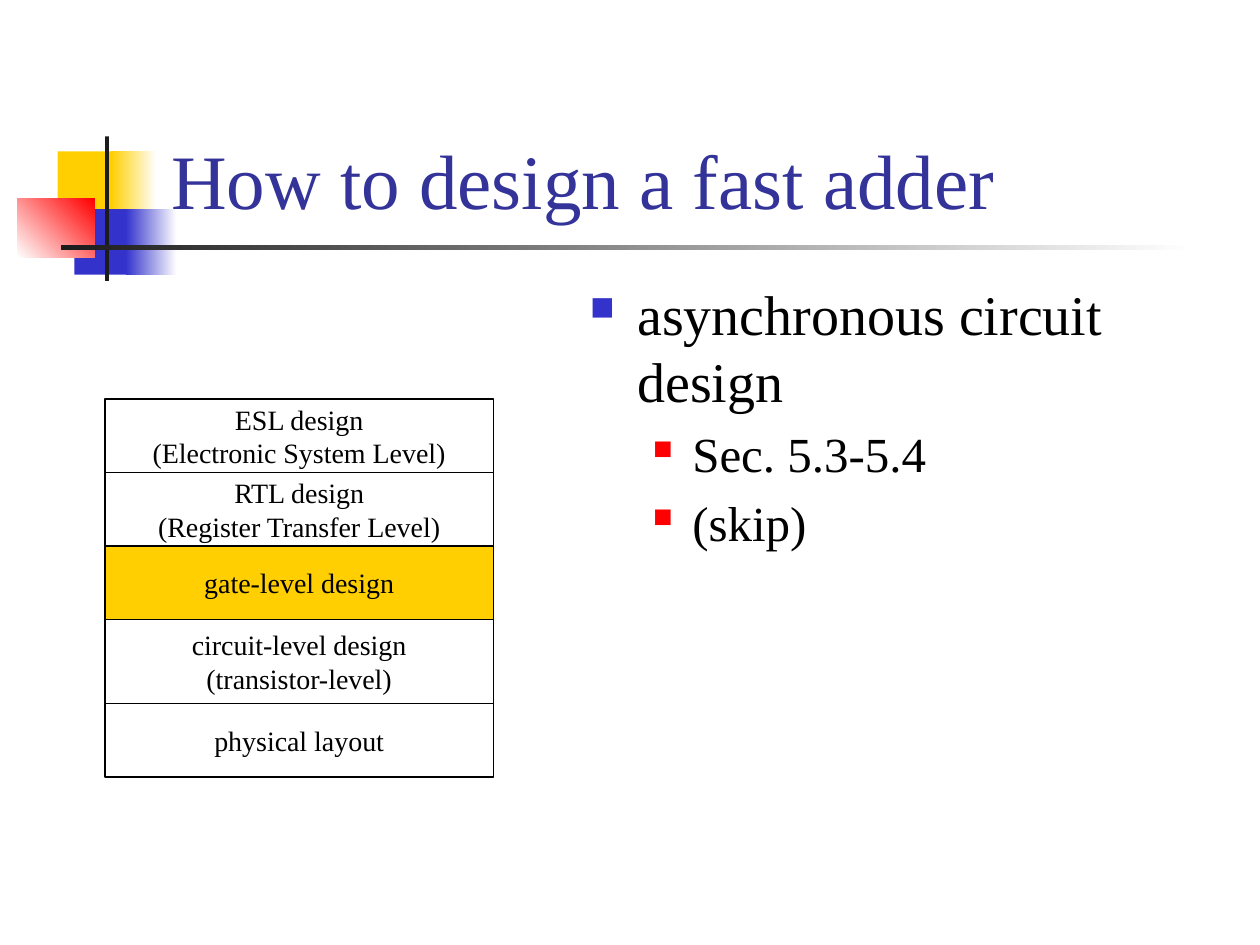
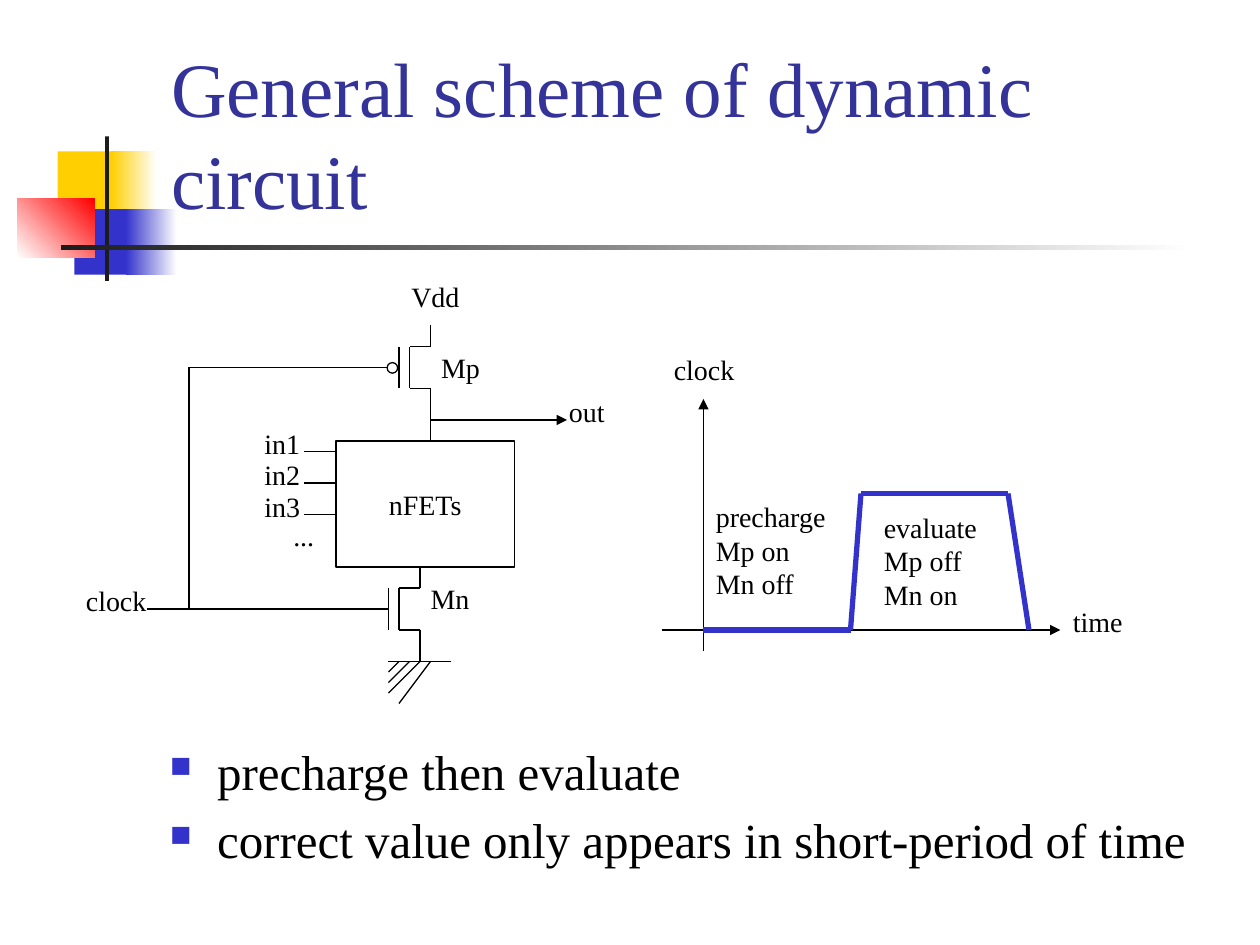
from dataclasses import dataclass
from itertools import pairwise

from lxml.etree import SubElement
from pptx import Presentation
from pptx.dml.color import RGBColor
from pptx.enum.shapes import MSO_CONNECTOR, MSO_SHAPE
from pptx.enum.text import MSO_ANCHOR, MSO_AUTO_SIZE, PP_ALIGN
from pptx.oxml.ns import qn
from pptx.util import Pt


@dataclass(frozen=True)
class Theme:
    """Colours, font and type sizes of the deck."""
    font: str = "Times New Roman"
    ink: str = "000000"
    paper: str = "FFFFFF"
    rule: str = "1C1C1C"
    gold: str = "FFCF01"
    blue: str = "3333CC"
    red: str = "FF0000"
    head: str = "333399"
    title: int = 44
    large: int = 32
    body: int = 28
    label: int = 16
    thin: float = 0.75
    bold: float = 3


def rgb(code):
    """Turn a hex code into a colour."""
    return RGBColor.from_string(code)


def bullet(para, color, size):
    """Give a paragraph a square bullet, its size in percent."""
    props = para._p.get_or_add_pPr()
    tint = SubElement(props, qn("a:buClr"))
    SubElement(tint, qn("a:srgbClr")).set("val", color)
    SubElement(props, qn("a:buSzPct")).set("val", str(size * 1000))
    SubElement(props, qn("a:buChar")).set("char", "■")


def write(frame, lines, font, size, color, align=PP_ALIGN.LEFT,
          anchor=MSO_ANCHOR.TOP, wrap=False, grow=False):
    """Fill a text frame, one paragraph per line; return the paragraphs."""
    frame.word_wrap = wrap
    frame.vertical_anchor = anchor
    frame.auto_size = MSO_AUTO_SIZE.SHAPE_TO_FIT_TEXT if grow else MSO_AUTO_SIZE.NONE
    frame.text = lines
    for para in frame.paragraphs:
        para.alignment = align
        for run in para.runs:
            run.font.name = font
            run.font.size = Pt(size)
            run.font.color.rgb = rgb(color)
    return frame.paragraphs


class Deck:
    """The presentation, its theme and the slide being drawn."""

    def __init__(self, theme):
        """Start an empty 10 by 7.5 inch deck."""
        self.theme = theme
        self.file = Presentation()
        self.file.slide_width = Pt(720)
        self.file.slide_height = Pt(540)

    def slide(self, title):
        """Add a slide with the shared ornament and a title."""
        page = self.file.slides.add_slide(self.file.slide_layouts[6])
        self.page = self.art = page.shapes
        self.badge()
        look = self.theme
        self.text(title, 90.75, 16.5, 613.5, 115.5, size=look.title,
                  color=look.head, anchor=MSO_ANCHOR.BOTTOM, wrap=True, grow=False)

    def group(self):
        """Send the next elements into a new group."""
        self.art = self.page.add_group_shape().shapes

    def shape(self, x, y, w, h, fill=None, line=None, fade=None, angle=0,
              kind=MSO_SHAPE.RECTANGLE):
        """Add a shape, filled plainly, with a fade or not at all."""
        item = self.art.add_shape(kind, Pt(x), Pt(y), Pt(w), Pt(h))
        item.shadow.inherit = False
        if fade:
            item.fill.gradient()
            item.fill.gradient_angle = angle
            for stop, code in zip(item.fill.gradient_stops, (fill, fade)):
                stop.color.rgb = rgb(code)
        elif fill:
            item.fill.solid()
            item.fill.fore_color.rgb = rgb(fill)
        else:
            item.fill.background()
        if line:
            item.line.color.rgb = rgb(line)
            item.line.width = Pt(self.theme.thin)
        else:
            item.line.fill.background()
        return item

    def badge(self):
        """Draw the coloured squares and the crossed rules."""
        look = self.theme
        self.shape(33, 86.5, 34.5, 37.5, look.gold)
        self.shape(63.5, 86.5, 26, 37.5, look.gold, fade=look.paper)
        self.shape(42.5, 119.5, 33, 37.5, look.blue)
        self.shape(72, 119.5, 29, 37.5, look.blue, fade=look.paper)
        self.shape(10, 113.5, 44, 33.5, look.paper, fade=look.red, angle=45)
        self.shape(60, 78, 2.25, 82.5, look.rule)
        self.shape(35, 140.25, 648, 2.5, look.rule, fade=look.paper)

    def text(self, lines, x, y, w=40, h=26.6, size=None, color=None,
             grow=True, **form):
        """Add a text box; a plain label unless told otherwise."""
        look = self.theme
        box = self.art.add_textbox(Pt(x), Pt(y), Pt(w), Pt(h))
        return write(box.text_frame, lines, look.font, size or look.label,
                     color or look.ink, grow=grow, **form)

    def points(self, items, x, y, w, h):
        """Add a bullet list of (level, size, text) items."""
        look = self.theme
        styles = ((27, -27, look.blue, 60), (58.5, -22.5, look.red, 55))
        lines = "\n".join(words for _, _, words in items)
        paras = self.text(lines, x, y, w, h, wrap=True, grow=False)
        for para, (level, size, _) in zip(paras, items):
            left, hang, color, scale = styles[level]
            para.level = level
            para.space_before = Pt(size * 0.2)
            para.runs[0].font.size = Pt(size)
            props = para._p.get_or_add_pPr()
            props.set("marL", str(Pt(left)))
            props.set("indent", str(Pt(hang)))
            bullet(para, color, scale)

    def block(self, lines, x, y, w, h, fill=None):
        """Add an outlined box with centred text."""
        look = self.theme
        item = self.shape(x, y, w, h, fill, look.ink)
        write(item.text_frame, lines, look.font, look.label, look.ink,
              align=PP_ALIGN.CENTER, anchor=MSO_ANCHOR.MIDDLE)

    def wire(self, *stops, color=None, width=None, arrow=False):
        """Join points with straight lines, each with an arrowhead if asked."""
        look = self.theme
        for (x1, y1), (x2, y2) in pairwise(stops):
            item = self.art.add_connector(MSO_CONNECTOR.STRAIGHT,
                                          Pt(x1), Pt(y1), Pt(x2), Pt(y2))
            item.line.color.rgb = rgb(color or look.ink)
            item.line.width = Pt(width or look.thin)
            props = item._element.spPr
            if arrow:
                edge = props.find(qn("a:ln"))
                SubElement(edge, qn("a:tailEnd")).set("type", "triangle")
            SubElement(props, qn("a:effectLst"))

    def fet(self, x, y):
        """Draw a transistor whose gate bar starts at x, y."""
        gate, drain = x + 6, x + 18
        self.wire((x, y), (x, y + 24))
        self.wire((drain, y - 12), (drain, y), (gate, y),
                  (gate, y + 24), (drain, y + 24), (drain, y + 42))

    def ground(self, x, y):
        """Draw a hatched ground line that starts at x, y."""
        self.wire((x, y), (x + 36, y))
        for top, foot, drop in ((6, 0, 6), (12, 0, 12), (18, 0, 18), (24, 6, 24)):
            self.wire((x + top, y), (x + foot, y + drop))


def levels(deck):
    """Build the slide with the stack of design levels."""
    look = deck.theme
    deck.slide("How to design a fast adder")
    deck.points([(0, look.large, "asynchronous circuit design"),
                 (1, look.body, "Sec. 5.3-5.4"),
                 (1, look.body, "(skip)")], 330, 156, 378, 324)
    stack = (("ESL design\n(Electronic System Level)", 42, None),
             ("RTL design\n(Register Transfer Level)", 42, None),
             ("gate-level design", 42, look.gold),
             ("circuit-level design\n(transistor-level)", 48, None),
             ("physical layout", 42, None))
    y = 228
    for lines, h, fill in stack:
        deck.block(lines, 60, y, 222, h, fill)
        y += h


def timing(deck):
    """Draw the clock wave over time."""
    look = deck.theme
    deck.group()
    deck.wire((378, 360), (606, 360), arrow=True)
    deck.wire((402, 372), (402, 228), arrow=True)
    deck.text("time", 606, 342, 43)
    deck.text("clock", 378, 198, 49)
    deck.wire((402, 360), (486, 360), (492, 282), (576, 282), (588, 360),
              color=look.blue, width=look.bold)
    deck.text("precharge\nMp on\nMn off", 402, 282, 78, 65)
    deck.text("evaluate\nMp off\nMn on", 498, 288, 68, 65)


def circuit(deck):
    """Draw the dynamic gate with its clock and inputs."""
    look = deck.theme
    deck.group()
    deck.fet(228, 198)
    deck.shape(221.25, 207.25, 6, 6, line=look.ink, kind=MSO_SHAPE.OVAL)
    deck.block("nFETs", 192, 252, 102, 72)
    for row in range(3):
        y = 258 + 18 * row
        deck.wire((174, y), (192, y))
        deck.text(f"in{row + 1}", 144, y - 18, 35)
    deck.text("...", 160.5, 293, 27)
    deck.fet(222, 336)
    deck.ground(222, 378)
    deck.text("clock", 42, 330, 49)
    deck.wire((84, 348), (222, 348))
    deck.wire((108, 348), (108, 210), (222, 210))
    deck.text("Mp", 245, 196.5, 37)
    deck.text("Mn", 239, 329, 37)
    deck.wire((246, 240), (246, 252))
    deck.wire((246, 240), (324, 240), arrow=True)
    deck.text("out", 318, 222, 35)
    deck.text("Vdd", 228, 156, 42)


def scheme(deck):
    """Build the slide on the dynamic circuit."""
    size = deck.theme.body
    deck.slide("General scheme of dynamic circuit")
    deck.points([(0, size, "precharge then evaluate"),
                 (0, size, "correct value only appears in short-period of time")],
                90, 420, 612, 98.5)
    timing(deck)
    circuit(deck)


deck = Deck(Theme())
levels(deck)
scheme(deck)
deck.file.save("out.pptx")
